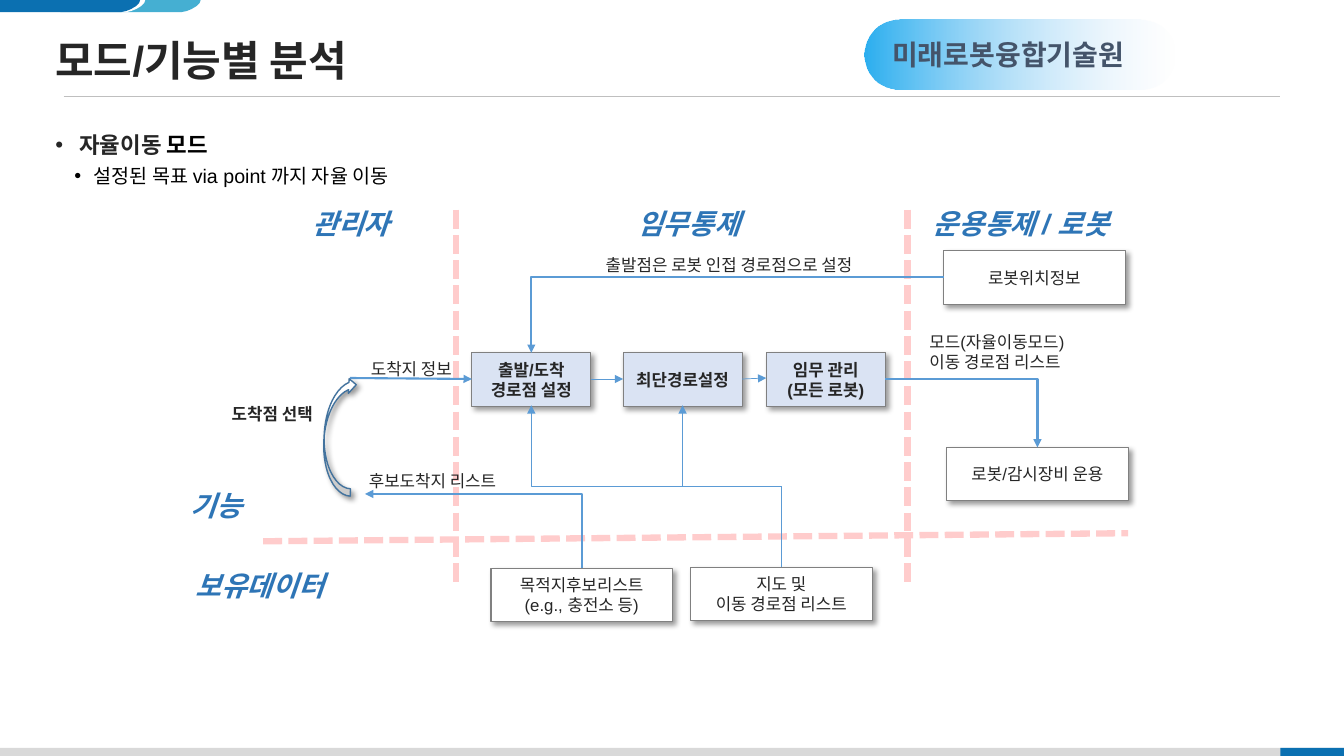
from lxml.etree import SubElement
from pptx import Presentation
from pptx.dml.color import RGBColor
from pptx.enum.dml import MSO_LINE
from pptx.enum.shapes import MSO_CONNECTOR, MSO_SHAPE
from pptx.enum.text import MSO_ANCHOR, MSO_AUTO_SIZE, PP_ALIGN
from pptx.oxml.ns import qn
from pptx.util import Inches, Pt

INK, HEADING, ARROW, DIVIDER = "262626", "2E75B6", "5B9BD5", "FFCCCC"
DARK_BLUE, PALE_BLUE, WHITE = "0B70B1", "DAE3F3", "FFFFFF"

TITLE = "모드/기능별 분석"
INSTITUTE = "미래로봇융합기술원"
HEADINGS = [
    ("관리자", 3, 2, 1.16, 0.44),
    ("임무통제", 6.22, 2, 1.53, 0.44),
    ("운용통제 / 로봇", 9.15, 2, 2.33, 0.44),
    ("기능", 1.79, 4.8, 1.16, 0.44),
    ("보유데이터", 1.84, 5.59, 1.5, 0.77),
]
LABELS = [
    (["후보도착지 리스트"], 3.56, 4.62, 1.49, 0.5, False),
    (["출발점은 로봇 인접 경로점으로 설정"], 5.91, 2.48, 2.94, 0.3, False),
    (["도착점 선택"], 2.2, 3.96, 1.23, 0.3, True),
    (["도착지 정보"], 3.58, 3.51, 1.07, 0.5, False),
    (["모드(자율이동모드)", "이동 경로점 리스트"], 9.12, 3.24, 1.92, 0.5, False),
]
DATA_BOXES = [
    (["목적지후보리스트\v(e.g., 충전소 등)"], 4.87, 5.64),
    (["지도 및", "이동 경로점 리스트"], 6.85, 5.63),
    (["로봇위치정보"], 9.36, 2.49),
    (["로봇/감시장비 운용"], 9.39, 4.44),
]
STEP_BOXES = [
    (["출발/도착 경로점 설정"], 4.68, 3.5),
    (["최단경로설정"], 6.18, 3.5),
    (["임무 관리", "(모든 로봇)"], 7.6, 3.5),
]
DIVIDERS = [
    ((9, 2.08), (9, 5.83)),
    ((4.52, 2.08), (4.52, 5.83)),
    ((2.61, 5.37), (11.19, 5.29)),
]
STRAIGHT_ARROWS = [
    ((3.47, 3.75), (4.68, 3.76), 1.5),
    ((5.86, 3.76), (6.18, 3.76), 0.5),
    ((7.36, 3.76), (7.6, 3.75), 0.5),
]
ELBOW_ARROWS = [
    ((5.77, 5.64), (3.62, 4.9), 1.5, "bentConnector2", 270, True),
    ((9.36, 2.75), (5.27, 3.5), 1.5, "bentConnector2", 180, True),
    ((7.75, 5.63), (6.77, 4.02), 0.5, "bentConnector3", 270, True),
    ((7.75, 5.63), (5.27, 4.02), 0.5, "bentConnector3", 270, True),
    ((8.78, 3.76), (10.29, 4.44), 1.5, "bentConnector2", 0, False),
]
TABS = [(0.6, "45AFD2"), (0.05, WHITE), (0, DARK_BLUE)]
TAB_OUTLINE = [(0, 0.12), (1.2, 0.12), (1.25, 0.11), (1.3, 0.09),
               (1.35, 0.06), (1.38, 0.03), (1.39, 0)]

deck = Presentation()
deck.slide_width, deck.slide_height = Inches(13.33), Inches(7.5)
page = deck.slides.add_slide(deck.slide_layouts[6])


def color(value):
    return RGBColor.from_string(value)


def add_text(frame, lines, size=12, ink=INK, bold=False, italic=False, align=None):
    for number, line in enumerate(lines):
        para = frame.paragraphs[0] if number == 0 else frame.add_paragraph()
        para.text = line
        para.alignment = align
        style_font(para.font, size, ink, bold, italic)


def style_font(font, size, ink=INK, bold=False, italic=False):
    font.name, font.size = "Arial", Pt(size)
    font.bold, font.italic = bold, italic
    font.color.rgb = color(ink)


def text_box(lines, left, top, width, height, wrap=True, grow=True, **style):
    box = page.shapes.add_textbox(*map(Inches, (left, top, width, height)))
    frame = box.text_frame
    frame.word_wrap = wrap
    frame.auto_size = MSO_AUTO_SIZE.SHAPE_TO_FIT_TEXT if grow else MSO_AUTO_SIZE.NONE
    add_text(frame, lines, **style)
    return frame


def paint(shape, fill, line=None, weight=0.75):
    shape.shadow.inherit = False
    shape.fill.solid()
    shape.fill.fore_color.rgb = color(fill)
    if line:
        shape.line.color.rgb = color(line)
        shape.line.width = Pt(weight)
    else:
        shape.line.fill.background()


def add_shape(kind, left, top, width, height, fill, **line):
    shape = page.shapes.add_shape(kind, *map(Inches, (left, top, width, height)))
    paint(shape, fill, **line)
    return shape


def drop_shadow(shape):
    effects = shape.element.spPr.find(qn("a:effectLst"))
    shadow = SubElement(effects, qn("a:outerShdw"), blurRad="50800", dist="38100",
                        dir="2700000", algn="tl", rotWithShape="0")
    tint = SubElement(shadow, qn("a:srgbClr"), val="000000")
    SubElement(tint, qn("a:alpha"), val="40000")


def flow_box(lines, left, top, width, fill, bold):
    box = add_shape(MSO_SHAPE.ROUNDED_RECTANGLE, left, top, width, 0.53, fill, line="808080")
    box.adjustments[0] = 0
    drop_shadow(box)
    box.text_frame.word_wrap = True
    box.text_frame.vertical_anchor = MSO_ANCHOR.MIDDLE
    add_text(box.text_frame, lines, bold=bold, align=PP_ALIGN.CENTER)


def add_line(start, end, ink, weight, dash=None, arrow=False, kind=MSO_CONNECTOR.STRAIGHT):
    line = page.shapes.add_connector(kind, *map(Inches, start + end))
    line.line.color.rgb = color(ink)
    line.line.width = Pt(weight)
    if dash:
        line.line.dash_style = dash
    properties = line.element.spPr
    if arrow:
        SubElement(properties.find(qn("a:ln")), qn("a:tailEnd"), type="triangle")
    SubElement(properties, qn("a:effectLst"))
    return line


def elbow_arrow(start, end, weight, preset, turn, flip):
    (x1, y1), (x2, y2) = start, end
    width, height = abs(x2 - x1), abs(y2 - y1)
    if turn == 270:
        width, height = height, width
    left, top = (x1 + x2 - width) / 2, (y1 + y2 - height) / 2
    head, foot = (top + height, top) if flip else (top, top + height)
    arrow = add_line((left, head), (left + width, foot), ARROW, weight,
                     arrow=True, kind=MSO_CONNECTOR.ELBOW)
    properties = arrow.element.spPr
    properties.find(qn("a:xfrm")).set("rot", str(turn * 60000))
    properties.find(qn("a:prstGeom")).set("prst", preset)


def add_bullet(para, margin, indent):
    settings = para._p.get_or_add_pPr()
    settings.set("marL", str(Inches(margin)))
    settings.set("indent", str(Inches(indent)))
    SubElement(settings, qn("a:buFont"), typeface="Arial")
    SubElement(settings, qn("a:buChar"), char="•")


add_shape(MSO_SHAPE.RECTANGLE, 0, 7.42, 13.33, 0.08, "D9D9D9")
add_shape(MSO_SHAPE.RECTANGLE, 12.7, 7.42, 0.63, 0.08, DARK_BLUE)
for offset, fill in TABS:
    builder = page.shapes.build_freeform(Inches(offset), 0)
    builder.add_line_segments([(Inches(offset + x), Inches(y)) for x, y in TAB_OUTLINE])
    paint(builder.convert_to_shape(), fill)
add_line((0.63, 0.96), (12.7, 0.96), "BFBFBF", 0.5)

title = text_box([TITLE], 0.45, 0.28, 12.25, 0.68, grow=False, size=30, bold=True)
title.vertical_anchor = MSO_ANCHOR.MIDDLE
title.paragraphs[0].line_spacing = 0.9

body = text_box(["", ""], 0.45, 1.17, 12.64, 5.61, grow=False)
mode, goal = body.paragraphs
mode.line_spacing, goal.line_spacing, goal.space_before = 1.3, 0.9, Pt(6)
add_bullet(mode, 0.24, -0.24)
add_bullet(goal, 0.38, -0.19)
goal.level = 1
for para, text, size, ink, bold in [
    (mode, "자율이동", 16, INK, True),
    (mode, " 모드", 16, "000000", True),
    (goal, "설정된 목표 via point 까지 자율 이동", 14, "000000", False),
]:
    span = para.add_run()
    span.text = text
    style_font(span.font, size, ink, bold)

pill = add_shape(MSO_SHAPE.ROUNDED_RECTANGLE, 8.57, 0.19, 3.09, 0.7, WHITE)
pill.adjustments[0] = 0.5
pill.fill.gradient()
pill.fill.gradient_angle = 0
for stop, position, tint in zip(pill.fill.gradient_stops, (0, 1), ("2CAFF0", "CAE2F9")):
    stop.position, stop.color.rgb = position, color(tint)
faded = pill.element.spPr.findall(".//" + qn("a:srgbClr"))[-1]
SubElement(faded, qn("a:alpha"), val="0")
text_box([INSTITUTE], 8.75, 0.32, 2.73, 0.44, wrap=False, size=20, ink="44546A", bold=True)

for start, end in DIVIDERS:
    add_line(start, end, DIVIDER, 4.5, dash=MSO_LINE.SQUARE_DOT)
for text, *place in HEADINGS:
    text_box([text], *place, size=20, ink=HEADING, bold=True, italic=True)
for lines, left, top in DATA_BOXES:
    flow_box(lines, left, top, 1.8, WHITE, False)
for lines, left, top in STEP_BOXES:
    flow_box(lines, left, top, 1.18, PALE_BLUE, True)
for start, end, weight in STRAIGHT_ARROWS:
    add_line(start, end, ARROW, weight, arrow=True)
for route in ELBOW_ARROWS:
    elbow_arrow(*route)
for lines, *place, bold in LABELS:
    text_box(lines, *place, bold=bold)

choice = add_shape(MSO_SHAPE.CURVED_DOWN_ARROW, 2.77, 4.18, 1.18, 0.29, WHITE,
                   line="43739E", weight=1)
choice.rotation = 273.1
drop_shadow(choice)

deck.save("out.pptx")
